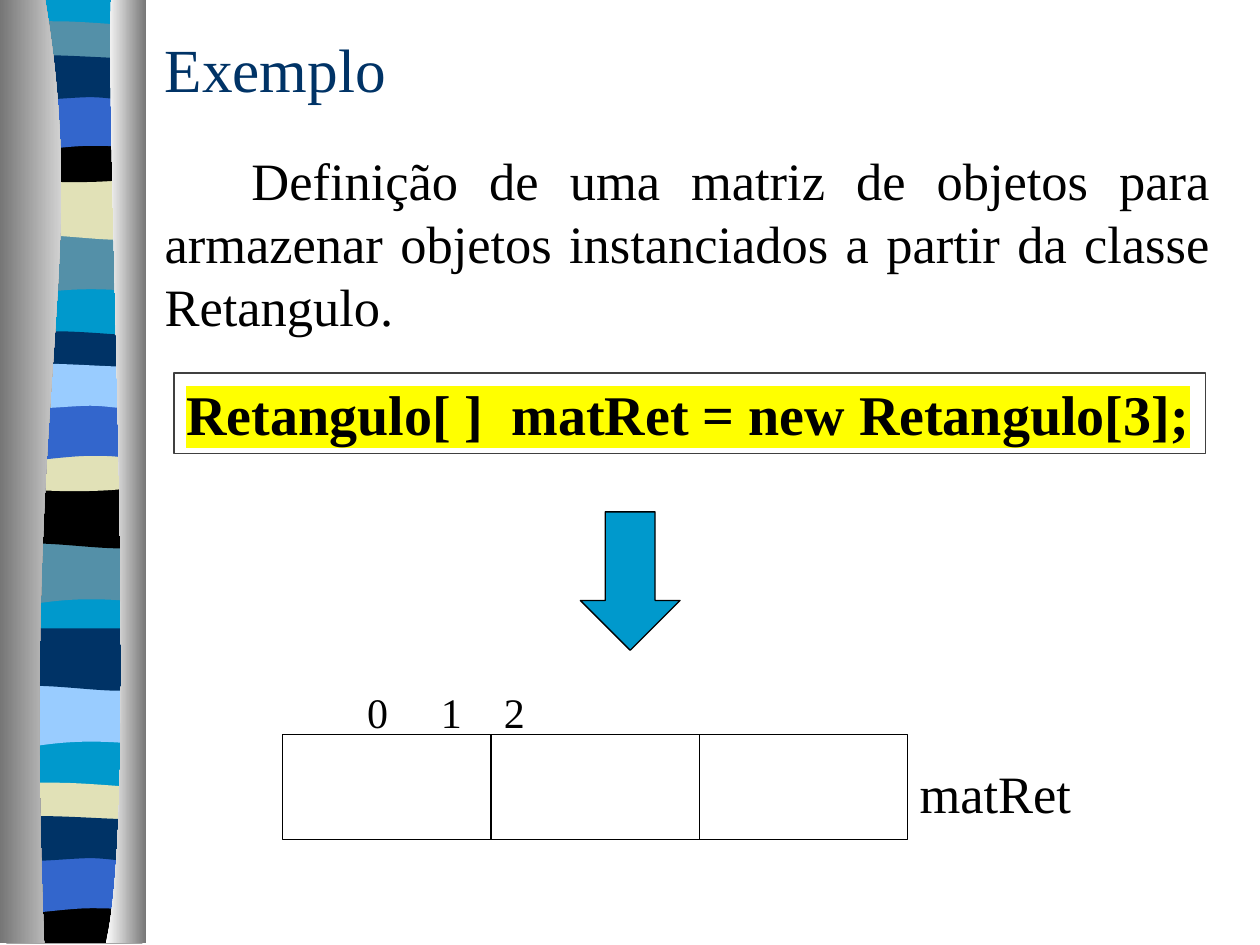
from dataclasses import dataclass

from lxml import etree
from pptx import Presentation
from pptx.dml.color import RGBColor
from pptx.enum.shapes import MSO_SHAPE
from pptx.enum.text import MSO_ANCHOR, PP_ALIGN
from pptx.oxml.ns import qn
from pptx.util import Cm, Pt

RECT, ARROW = MSO_SHAPE.RECTANGLE, MSO_SHAPE.DOWN_ARROW
LEFT, JUSTIFY = PP_ALIGN.LEFT, PP_ALIGN.JUSTIFY
MIDDLE = MSO_ANCHOR.MIDDLE
FONT = "Times New Roman"
BLACK, WHITE, GREY = "000000", "FFFFFF", "767676"
NAVY, TEAL, SLATE = "003366", "0099CC", "5490A8"
SAND, BLUE, SKY = "E1E1B7", "3366CC", "99CCFF"
YELLOW = "FFFF00"
NEAR, FAR = 0.13, 2.87
GRID = 1000

# Each step is a point (2 numbers) or a cubic curve (6 numbers), in cm.
WAVES = {
    "base": [(FAR, 18.97), (NEAR, 18.97), (NEAR, 0)],
    "tail": [(FAR, 1.19), (0.97, 0.99, 0.58, 1.38, NEAR, 1.19), (NEAR, 0)],
    "bulge": [(FAR, 1.19), (2.42, 1.39, 0.98, 1.05, NEAR, 1.19), (NEAR, 0)],
    "cap": [(FAR, 0.61), (2.42, 0.72, 0.59, 0.72, NEAR, 0.61), (NEAR, 0),
            (0.31, -0.13, 0.72, -0.1, 1.18, -0.1),
            (1.64, -0.1, 2.52, -0.02, FAR, 0)],
    "sag": [(FAR, 0.82), (2.42, 0.97, 0.59, 0.97, NEAR, 0.82), (NEAR, 0),
            (1.81, 0.13, 2.3, 0, FAR, 0)],
    "foot": [(FAR, 0.94), (NEAR, 0.94), (NEAR, 0),
             (1.81, 0.13, 2.3, 0, FAR, 0)],
    "arch": [(FAR, 1.19), (2.45, 1.06, 2.27, 1.06, 1.82, 1.06),
             (1.36, 1.06, 0.55, 1.19, NEAR, 1.19), (NEAR, 0)],
    "roll": [(FAR, 0.79), (2.69, 0.92, 2.27, 0.79, 1.82, 0.79),
             (1.36, 0.79, 0.41, 0.92, NEAR, 0.79), (NEAR, 0),
             (0.53, -0.13, 2, 0, 2.46, 0), (2.9, 0, 2.79, 0, FAR, 0)],
}


@dataclass
class Band:
    """One coloured wave of the ribbon."""
    wave: str
    top: float
    color: str


@dataclass
class Side:
    """One shaded edge of the ribbon."""
    start: tuple
    steps: list
    first: str
    last: str


@dataclass
class Label:
    """A line of text and its box in cm."""
    text: str
    box: tuple
    size: float
    color: str = BLACK
    align: int = LEFT
    indent: float = 0
    tabs: tuple = ()


BANDS = [
    Band("base", 0, TEAL),
    Band("tail", 4.7, SLATE), Band("bulge", 3.58, SAND),
    Band("cap", 0.53, SLATE), Band("sag", 2.74, BLACK),
    Band("arch", 1.88, BLUE), Band("roll", 1.17, NAVY),
    Band("tail", 10.95, SLATE), Band("bulge", 9.8, BLACK),
    Band("cap", 6.78, NAVY), Band("sag", 8.97, SAND),
    Band("arch", 8.13, BLUE), Band("roll", 7.39, SKY),
    Band("tail", 13.82, SKY), Band("bulge", 12.67, NAVY),
    Band("cap", 15.88, SAND), Band("foot", 18.08, BLACK),
    Band("arch", 17.25, BLUE), Band("roll", 16.51, NAVY),
]
SIDES = [
    Side((0.91, 0), [(1.83, 5.49, 0.43, 7.52, 0.89, 19.02), (0, 19.02), (0, 0)],
         GREY, WHITE),
    Side((2.24, 0), [(2.13, 3.18, 2.82, 16.41, 2.13, 19.02), (2.95, 19.02),
                     (2.95, 0)], WHITE, GREY),
]
CODE = Label("Retangulo[ ]  matRet = new Retangulo[3];",
             (3.51, 7.52, 20.8, 1.63), 32)
LABELS = [
    Label("Exemplo", (3.07, 0.32, 5.23, 2.11), 35, NAVY),
    Label("Definição de uma matriz de objetos para armazenar objetos "
          "instanciados a partir da classe Retangulo.",
          (3.07, 2.44, 21.59, 4.88), 30, BLACK, JUSTIFY, 1.75),
    Label("0\t1\t2", (6.1, 13.72, 12.19, 1.27), 24, indent=1.05,
          tabs=(5.7, 9.72)),
    Label("matRet", (18.29, 15.21, 3.81, 1.55), 30),
]
CELL, ROW_X, ROW_Y = 4.2, 5.7, 14.81


def rgb(color: str) -> RGBColor:
    """Turn a hex string into a colour."""
    return RGBColor.from_string(color)


def outline(shapes, start: tuple, steps: list, top: float = 0):
    """Draw a closed outline of lines and curves, without a border."""
    knots = [start] + [step[i:i + 2] for step in steps
                       for i in range(0, len(step), 2)]
    first, *rest = [(round(x * GRID), round((y + top) * GRID))
                    for x, y in knots]
    pen = shapes.build_freeform(*first, scale=Cm(1) / GRID)
    pen.add_line_segments(rest, close=True)
    shape = pen.convert_to_shape()
    lines = iter(list(shape._element.iter(qn("a:lnTo"))))
    for step in steps:
        group = [next(lines) for _ in range(len(step) // 2)]
        if len(group) == 3:
            curve = etree.Element(qn("a:cubicBezTo"))
            group[0].addprevious(curve)
            for line in group:
                curve.append(line[0])
                line.getparent().remove(line)
    shape.shadow.inherit = False
    shape.line.fill.background()
    return shape


def draw_band(shapes, band: Band) -> None:
    """Draw one wave."""
    shape = outline(shapes, (FAR, 0), WAVES[band.wave], band.top)
    shape.fill.solid()
    shape.fill.fore_color.rgb = rgb(band.color)


def draw_side(shapes, side: Side) -> None:
    """Draw one edge shaded from left to right."""
    fill = outline(shapes, side.start, side.steps).fill
    fill.gradient()
    fill.gradient_angle = 0
    for stop, color in zip(fill.gradient_stops, (side.first, side.last)):
        stop.color.rgb = rgb(color)


def draw_shape(shapes, kind, box: tuple, fill: str = "", line: str = BLACK):
    """Draw a preset shape with a thin line."""
    shape = shapes.add_shape(kind, *map(Cm, box))
    shape.shadow.inherit = False
    if fill:
        shape.fill.solid()
        shape.fill.fore_color.rgb = rgb(fill)
    else:
        shape.fill.background()
    shape.line.color.rgb = rgb(line)
    shape.line.width = Pt(0.75)
    return shape


def write(shape, label: Label, bold: bool = False):
    """Fill a shape with one paragraph and return its run."""
    frame = shape.text_frame
    frame.word_wrap = True
    frame.vertical_anchor = MIDDLE
    para = frame.paragraphs[0]
    para.alignment = label.align
    props = para._p.get_or_add_pPr()
    if label.indent:
        props.set("indent", str(Cm(label.indent)))
    if label.tabs:
        stops = etree.SubElement(props, qn("a:tabLst"))
        for tab in label.tabs:
            etree.SubElement(stops, qn("a:tab"), pos=str(Cm(tab)), algn="l")
    font = para.font
    font.name, font.size, font.bold = FONT, Pt(label.size), bold
    font.color.rgb = rgb(label.color)
    run = para.add_run()
    run.text = label.text
    return run


def mark(run, color: str) -> None:
    """Highlight a run."""
    glow = etree.SubElement(run._r.get_or_add_rPr(), qn("a:highlight"))
    etree.SubElement(glow, qn("a:srgbClr")).set("val", color)


def main() -> None:
    """Build the slide and save it."""
    deck = Presentation()
    deck.slide_width, deck.slide_height = Cm(25.4), Cm(19.05)
    shapes = deck.slides.add_slide(deck.slide_layouts[6]).shapes
    for band in BANDS:
        draw_band(shapes, band)
    for side in SIDES:
        draw_side(shapes, side)
    box = draw_shape(shapes, RECT, CODE.box, line="404040")
    mark(write(box, CODE, bold=True), YELLOW)
    box.text_frame.word_wrap = False
    for i in range(3):
        draw_shape(shapes, RECT, (ROW_X + i * CELL, ROW_Y, CELL, 2.11), WHITE)
    for label in LABELS:
        write(shapes.add_textbox(*map(Cm, label.box)), label)
    draw_shape(shapes, ARROW, (11.7, 10.32, 2.01, 2.79), TEAL)
    deck.save("out.pptx")


main()
